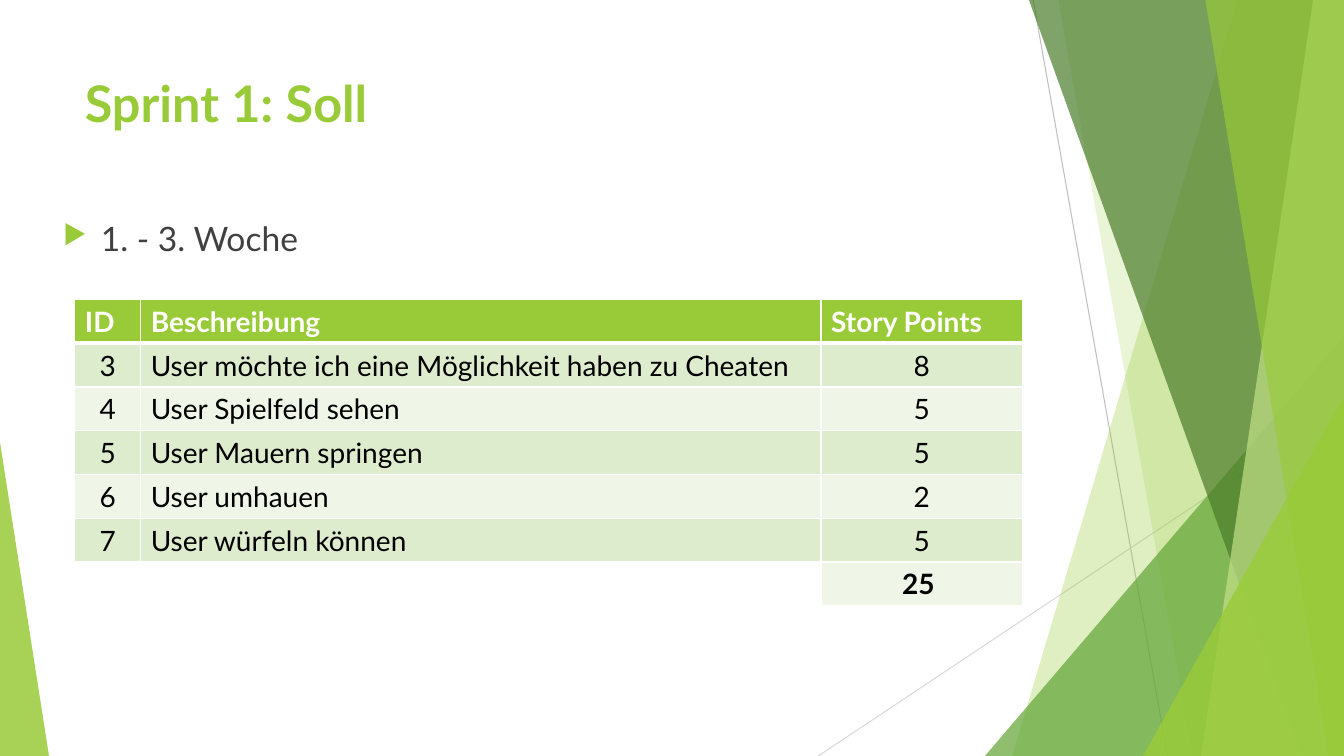
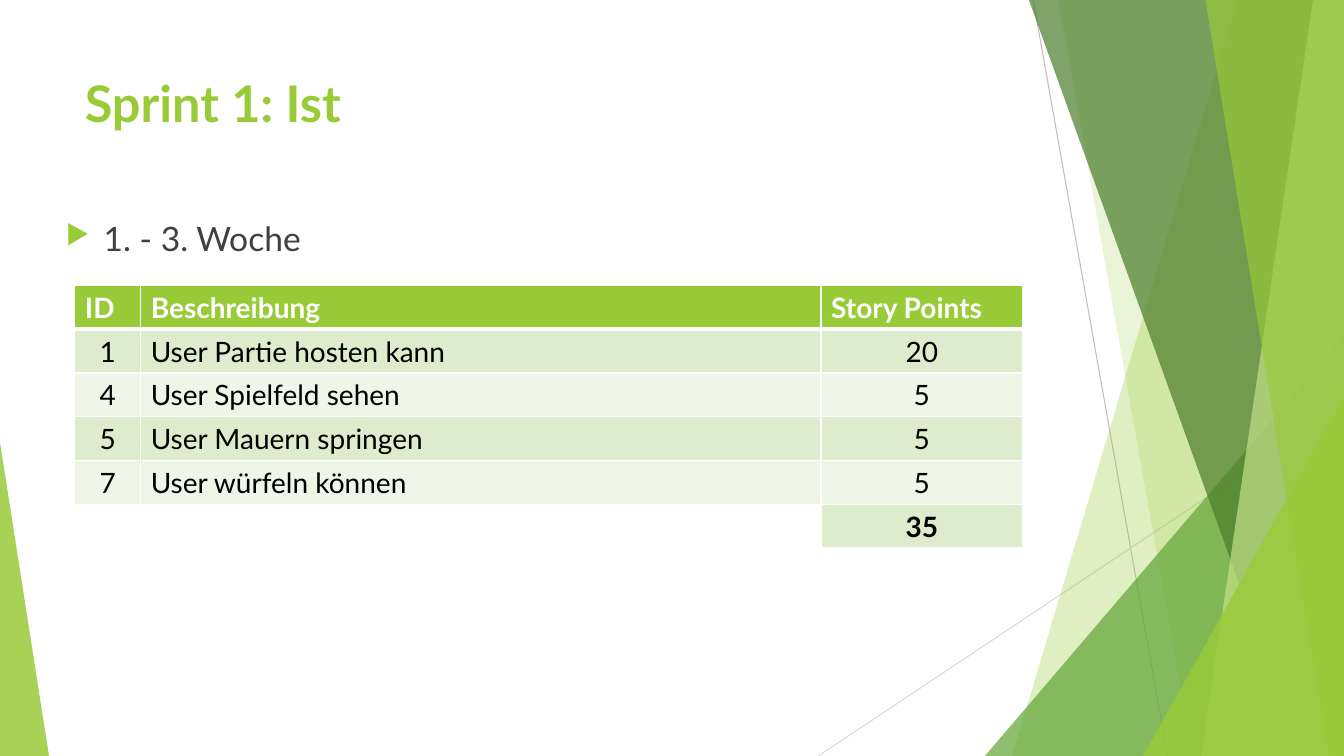
from lxml.etree import SubElement
from pptx import Presentation
from pptx.dml.color import RGBColor
from pptx.enum.shapes import MSO_CONNECTOR, MSO_SHAPE
from pptx.enum.text import MSO_ANCHOR, PP_ALIGN
from pptx.oxml import parse_xml
from pptx.oxml.ns import nsdecls, qn
from pptx.util import Pt

SLIDE_W, SLIDE_H = 960, 540

# Colours
WHITE = RGBColor(0xFF, 0xFF, 0xFF)
BLACK = RGBColor(0x00, 0x00, 0x00)
BODY_GREY = RGBColor(0x40, 0x40, 0x40)
MID_GREY = RGBColor(0xBF, 0xBF, 0xBF)
PALE_GREY = RGBColor(0xD9, 0xD9, 0xD9)
LIME = RGBColor(0x99, 0xCB, 0x38)
PALE_LIME = RGBColor(0xC2, 0xE0, 0x88)
GREEN = RGBColor(0x63, 0xA5, 0x37)
DARK_GREEN = RGBColor(0x4A, 0x7C, 0x29)
BANDS = (RGBColor(0xDE, 0xEC, 0xCE), RGBColor(0xEF, 0xF6, 0xE8))

# Text styles: font values and colour
TITLE = {"name": "Lato", "size": Pt(36), "bold": True}, LIME
BODY = {"name": "Lato", "size": Pt(24), "bold": False}, BODY_GREY
HEADER = {"name": "Lato", "size": Pt(20), "bold": True}, WHITE
CELL = {"name": "Lato", "size": Pt(20), "bold": False}, BLACK
TOTAL = {"name": "Lato", "size": Pt(20), "bold": True}, BLACK

# Background: thin lines as (x1, y1, x2, y2, colour)
RAYS = [(738, 0, 834, 540, MID_GREY), (960, 290, 584.5, 540, PALE_GREY)]
# Facets reach the right edge: (top x, bottom x); triangles: (box, apex)
FACETS = [
    ((884, 723), LIME, 30),
    ((756, 852), LIME, 20),
    ((703.5, 240, 256.5, 300, 1), GREEN, 72),
    ((735, 929.5), DARK_GREEN, 70),
    ((938, 858), PALE_LIME, 70),
    ((861, 949), LIME, 65),
    ((816.5, 283, 143.5, 257, 1), LIME, 80),
    ((0, 316, 35, 224, 0), LIME, 85),
]

# Story table
HEADINGS = ("ID", "Beschreibung", "Story Points")
COLUMN_WIDTHS = (47, 486, 144)
ROW_H = 31.2
BOARD_FIELD = (4, "User Spielfeld sehen", 5)
WALL_JUMP = (5, "User Mauern springen", 5)
DICE_ROLL = (7, "User würfeln können", 5)

SPRINTS = [
    {
        "title": "Sprint 1: Soll",
        "period_box": (38, 152, 677, 63),
        "table_at": (53.5, 214),
        "stories": [
            (3, "User möchte ich eine Möglichkeit haben zu Cheaten", 8),
            BOARD_FIELD, WALL_JUMP, (6, "User umhauen", 2), DICE_ROLL,
        ],
        "total": "25 ",
    },
    {
        "title": "Sprint 1: Ist",
        "period_box": (40, 152, 677, 305),
        "table_at": (53.5, 204),
        "stories": [
            (1, "User Partie hosten kann", 20),
            BOARD_FIELD, WALL_JUMP, DICE_ROLL,
        ],
        "total": "35",
    },
]


def set_values(target, values):
    for attribute, value in values.items():
        setattr(target, attribute, value)


def write(paragraph, text, style):
    run = paragraph.add_run()
    run.text = text
    values, color = style
    set_values(run.font, values)
    run.font.color.rgb = color


def add_ray(slide, x1, y1, x2, y2, color):
    ray = slide.shapes.add_connector(
        MSO_CONNECTOR.STRAIGHT, Pt(x1), Pt(y1), Pt(x2), Pt(y2))
    ray.line.color.rgb = color
    ray.line.width = Pt(0.75)
    SubElement(ray._element.spPr, qn("a:effectLst"))


def add_facet(slide, geometry, color, opacity):
    if len(geometry) == 2:
        top_x, bottom_x = geometry
        outline = slide.shapes.build_freeform(Pt(top_x), 0)
        outline.add_line_segments([
            (Pt(SLIDE_W), 0), (Pt(SLIDE_W), Pt(SLIDE_H)),
            (Pt(bottom_x), Pt(SLIDE_H))], close=True)
        facet = outline.convert_to_shape()
    else:
        *box, apex = geometry
        facet = slide.shapes.add_shape(
            MSO_SHAPE.ISOSCELES_TRIANGLE, *map(Pt, box))
        facet.adjustments[0] = apex
    facet.shadow.inherit = False
    facet.line.fill.background()
    facet.fill.solid()
    facet.fill.fore_color.rgb = color
    fill_color = facet._element.spPr.find(qn("a:solidFill"))[0]
    SubElement(fill_color, qn("a:alpha"), val=str(opacity * 1000))


def add_background(slide):
    for ray in RAYS:
        add_ray(slide, *ray)
    for facet in FACETS:
        add_facet(slide, *facet)


def add_text(slide, box, text, style):
    frame = slide.shapes.add_textbox(*map(Pt, box)).text_frame
    set_values(frame, {"word_wrap": True, "vertical_anchor": MSO_ANCHOR.TOP})
    write(frame.paragraphs[0], text, style)
    return frame.paragraphs[0]


def add_period(slide, box, text):
    paragraph = add_text(slide, box, text, BODY)
    paragraph.space_before = Pt(10)
    properties = paragraph._p.get_or_add_pPr()
    properties.set("marL", str(Pt(27)))
    properties.set("indent", str(Pt(-27)))
    bullet_color = SubElement(properties, qn("a:buClr"))
    SubElement(bullet_color, qn("a:srgbClr"), val=str(LIME))
    SubElement(properties, qn("a:buSzPct"), val="80000")
    SubElement(properties, qn("a:buChar"), char="▶")


def set_borders(cell, top, bottom):
    widths = {"lnL": 1, "lnR": 1, "lnT": top, "lnB": bottom}
    properties = cell._tc.get_or_add_tcPr()
    for position, (side, width) in enumerate(widths.items()):
        properties.insert(position, parse_xml(
            f'<a:{side} {nsdecls("a")} w="{Pt(width)}"><a:solidFill>'
            f'<a:srgbClr val="{WHITE}"/></a:solidFill></a:{side}>'))


def add_story_table(slide, position, stories, total):
    rows = [HEADINGS, *stories, (None, None, total)]
    last = len(rows) - 1
    left, top = position
    table = slide.shapes.add_table(
        len(rows), len(HEADINGS), Pt(left), Pt(top),
        Pt(sum(COLUMN_WIDTHS)), Pt(ROW_H * len(rows))).table
    set_values(table, {"first_row": False, "horz_banding": False})
    for column, width in zip(table.columns, COLUMN_WIDTHS):
        column.width = Pt(width)
    for r, values in enumerate(rows):
        table.rows[r].height = Pt(ROW_H)
        style = HEADER if r == 0 else TOTAL if r == last else CELL
        color = LIME if r == 0 else BANDS[(r - 1) % 2]
        for c, value in enumerate(values):
            cell = table.cell(r, c)
            if value is None:
                cell.fill.background()
            else:
                cell.fill.solid()
                cell.fill.fore_color.rgb = color
                paragraph = cell.text_frame.paragraphs[0]
                write(paragraph, str(value), style)
                if r > 0 and c != 1:
                    paragraph.alignment = PP_ALIGN.CENTER
            # The rule under the header is thicker
            set_borders(cell, 3 if r == 1 else 1, 3 if r == 0 else 1)


def add_sprint_slide(deck, sprint):
    slide = deck.slides.add_slide(deck.slide_layouts[6])
    add_background(slide)
    add_text(slide, (53.5, 48, 677, 104), sprint["title"], TITLE)
    add_period(slide, sprint["period_box"], "1. - 3. Woche")
    add_story_table(
        slide, sprint["table_at"], sprint["stories"], sprint["total"])


def main():
    deck = Presentation()
    set_values(deck, {"slide_width": Pt(SLIDE_W), "slide_height": Pt(SLIDE_H)})
    for sprint in SPRINTS:
        add_sprint_slide(deck, sprint)
    deck.save("out.pptx")


if __name__ == "__main__":
    main()
